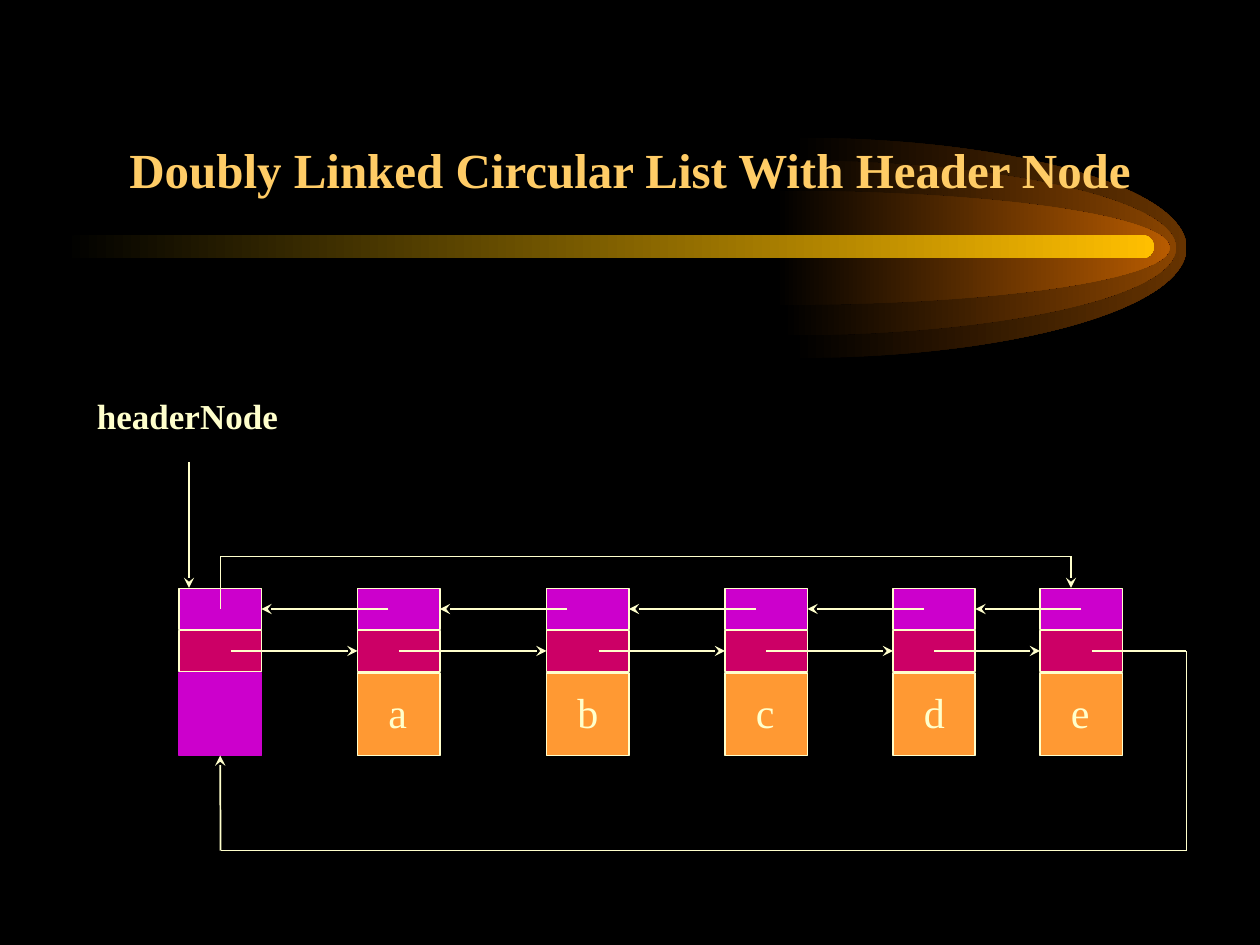
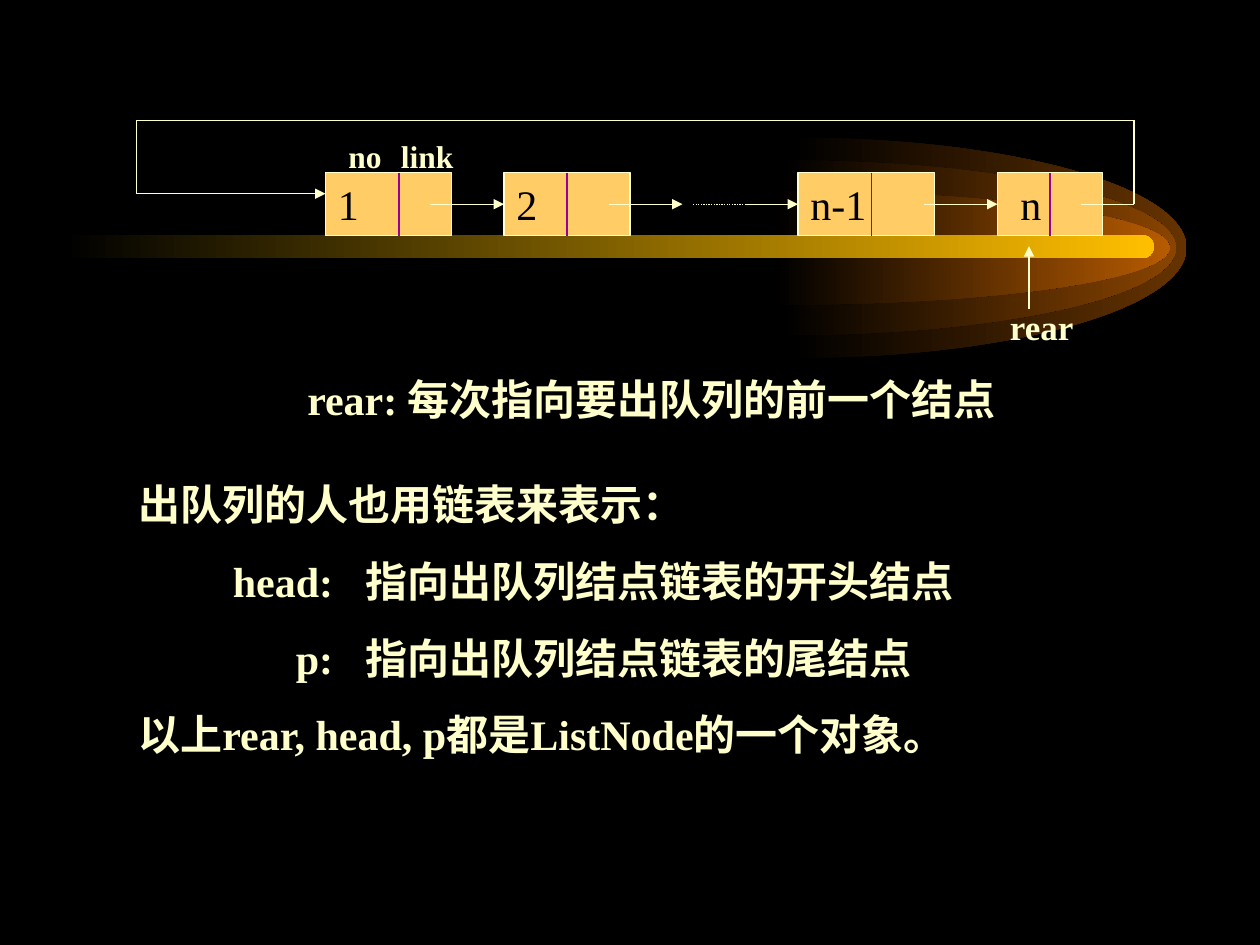
from dataclasses import dataclass
from typing import Optional

from lxml.etree import SubElement
from pptx import Presentation
from pptx.dml.color import RGBColor
from pptx.enum.dml import MSO_LINE
from pptx.enum.shapes import MSO_CONNECTOR, MSO_SHAPE
from pptx.enum.text import MSO_ANCHOR, PP_ALIGN
from pptx.oxml.ns import qn
from pptx.util import Inches, Pt

WIDTH, HEIGHT = Inches(10), Inches(7.5)
COL, ROW = WIDTH / 120, HEIGHT / 90
FONT = "Times New Roman"
COLORS = {
    "black": "000000", "cream": "FFFFCC", "gold": "FFCC66", "orange": "FF9933",
    "violet": "CC00CC", "crimson": "CC0066", "purple": "990099", "bar": "FFBF00",
    "outer": "663300", "middle": "894400", "inner": "B75B00",
}
LEFT, BOTTOM, RIGHT = 1, 2, 3


@dataclass
class Box:
    col: float
    row: float
    cols: float
    rows: float


@dataclass
class Flare:
    col: float
    half_rows: float
    color: str


@dataclass
class Node:
    col: float
    link_col: float
    text: str = ""
    back_col: float = 0


@dataclass
class Cell:
    col: float
    cols: float
    divider: float
    text: str
    text_col: float
    text_cols: float


@dataclass
class Label:
    box: Box
    text: str
    size: float


@dataclass
class Line:
    text: str
    margin: float = 0
    indent: float = 0


FLARES = [Flare(75.5, 10.5, "outer"), Flare(74.5, 8.35, "middle"), Flare(73.9, 5.45, "inner")]
NODES = [
    Node(17, 22), Node(34, 38, "a", 37), Node(52, 57, "b", 54),
    Node(69, 73, "c", 72), Node(85, 89, "d", 88), Node(99, 104, "e", 103),
]
CELLS = [
    Cell(31, 12, 38, "1", 31, 8), Cell(48, 12, 54, "2", 48, 8),
    Cell(76, 13, 83, "n-1", 76, 8), Cell(95, 10, 100, "n", 96, 5),
]
LABELS = [
    Label(Box(95, 28.5, 11, 5.3), "rear", 20),
    Label(Box(32, 12.5, 9, 4.8), "no", 18),
    Label(Box(37, 12.5, 10, 4.8), "link", 18),
]
NOTES = [
    Line("出队列的人也用链表来表示："),
    Line("head:\t指向出队列结点链表的开头结点", 1.8, -1.05),
    Line("p:\t指向出队列结点链表的尾结点", 1.8, -0.55),
    Line("以上rear, head, p都是ListNode的一个对象。"),
]


def rgb(name: str) -> RGBColor:
    return RGBColor.from_string(COLORS[name])


def place(box: Box) -> tuple:
    return (round(box.col * COL), round(box.row * ROW),
            round(box.cols * COL), round(box.rows * ROW))


def fade(sp, color: str) -> None:
    sp.shadow.inherit = False
    sp.line.fill.background()
    sp.fill.gradient()
    sp.fill.gradient_angle = 0
    for stop, name in zip(sp.fill.gradient_stops, ("black", color)):
        stop.color.rgb = rgb(name)


def add_half_ellipse(s, flare: Flare):
    x, y, w, h = place(Box(flare.col, 23.6, 37.5, flare.half_rows))
    builder = s.shapes.build_freeform(x, y - h)
    builder.add_line_segments([(x + w, y), (x, y + h)], close=True)
    sp = builder.convert_to_shape()
    for corner, start in zip(sp.element.xpath(".//a:lnTo"), (270, 0)):
        corner.addprevious(corner.makeelement(qn("a:arcTo"), {
            "wR": str(w), "hR": str(h),
            "stAng": str(start * 60000), "swAng": str(90 * 60000)}))
        corner.getparent().remove(corner)
    return sp


def add_comet(prs, s) -> None:
    comet = [add_half_ellipse(s, flare) for flare in FLARES]
    bar = s.shapes.add_shape(MSO_SHAPE.ROUNDED_RECTANGLE, *place(Box(6, 22.4, 103.9, 2.2)))
    bar.adjustments[0] = 0.5
    comet.append(bar)
    for i, (sp, color) in enumerate(zip(comet, [f.color for f in FLARES] + ["bar"])):
        fade(sp, color)
        sp.element.xpath(".//p:cNvPr")[0].set("id", str(100 + i))
        prs.slide_master.shapes.element.insert(2 + i, sp.element)


def add_rect(s, box: Box, fill: str, line: str = "cream", width: float = 1):
    sp = s.shapes.add_shape(MSO_SHAPE.RECTANGLE, *place(box))
    sp.shadow.inherit = False
    sp.fill.solid()
    sp.fill.fore_color.rgb = rgb(fill)
    sp.line.color.rgb = rgb(line)
    sp.line.width = Pt(width)
    return sp


def format_runs(p, size: float, color: str, bold: bool) -> None:
    for r in p.runs:
        r.font.name = FONT
        r.font.size = Pt(size)
        r.font.bold = bold
        r.font.color.rgb = rgb(color)


def add_text(s, box: Box, lines: list[Line], size: float = 24, color: str = "cream",
             bold: bool = True, wrap: bool = True) -> None:
    tf = s.shapes.add_textbox(*place(box)).text_frame
    tf.word_wrap = wrap
    for i, line in enumerate(lines):
        p = tf.add_paragraph() if i else tf.paragraphs[0]
        p.text = line.text
        if i:
            p.space_before = Pt(15)
        if line.margin or line.indent:
            pPr = p._p.get_or_add_pPr()
            pPr.set("marL", str(Inches(line.margin)))
            pPr.set("indent", str(Inches(line.indent)))
        format_runs(p, size, color, bold)


def add_wire(s, points: list[tuple], width: float, head: Optional[str] = None,
             color: str = "cream", target=None, side: int = LEFT, dotted: bool = False) -> None:
    for i, ((x1, y1), (x2, y2)) in enumerate(zip(points, points[1:]), 2):
        c = s.shapes.add_connector(MSO_CONNECTOR.STRAIGHT, round(x1 * COL), round(y1 * ROW),
                                   round(x2 * COL), round(y2 * ROW))
        c.line.color.rgb = rgb(color)
        c.line.width = Pt(width)
        if dotted:
            c.line.dash_style = MSO_LINE.ROUND_DOT
        if i == len(points):
            if target is not None:
                c.end_connect(target, side)
            if head:
                SubElement(c.element.spPr.find(qn("a:ln")), qn("a:tailEnd"), type=head)
        SubElement(c.element.spPr, qn("a:effectLst"))


def add_title(s, text: str) -> None:
    title = s.shapes.title
    title.left, title.top, title.width, title.height = place(Box(9, 8, 102, 11.5))
    tf = title.text_frame
    tf.text = text
    tf.word_wrap = True
    tf.vertical_anchor = MSO_ANCHOR.BOTTOM
    tf.paragraphs[0].alignment = PP_ALIGN.CENTER
    format_runs(tf.paragraphs[0], 28, "gold", True)


def build_doubly_linked(s) -> None:
    add_title(s, "Doubly Linked Circular List With Header Node")
    backs, links, datas = [], [], []
    for node in NODES:
        x = node.col + 0.05
        fill, line = ("orange", "cream") if node.text else ("violet", "violet")
        datas.append(add_rect(s, Box(x, 64.1, 7.85, 7.85), fill, line))
        links.append(add_rect(s, Box(x, 60.05, 7.85, 3.9), "crimson"))
        backs.append(add_rect(s, Box(x, 56.05, 7.85, 3.9), "violet"))
        if node.text:
            add_text(s, Box(node.col + 1.8, 64.8, 4.2, 6), [Line(node.text)],
                     bold=False, wrap=False)
    for i, (node, after) in enumerate(zip(NODES, NODES[1:])):
        add_wire(s, [(node.link_col, 62), (after.col, 62)], 1, "stealth", target=links[i + 1])
        add_wire(s, [(after.back_col, 58), (node.col + 8, 58)], 1, "stealth",
                 target=backs[i], side=RIGHT)
    add_wire(s, [(88, 58), (85, 58)], 1)
    add_text(s, Box(8.05, 37, 22, 5.2), [Line("headerNode")], 20)
    add_wire(s, [(18, 44), (18, 56)], 1, "stealth")
    add_wire(s, [(104, 62), (113, 62), (113, 81), (21, 81), (21, 72)], 1, "stealth",
             target=datas[0], side=BOTTOM)
    add_wire(s, [(21, 58), (21, 53), (102, 53), (102, 56)], 1, "stealth")


def build_circular_queue(s) -> None:
    top, mid, bottom = 16.45, 19.45, 22.45
    rects = []
    for cell in CELLS:
        rects.append(add_rect(s, Box(cell.col, top, cell.cols, bottom - top), "gold", width=0.75))
        add_wire(s, [(cell.divider, top), (cell.divider, bottom)], 0.75, color="purple")
        add_text(s, Box(cell.text_col, top, cell.text_cols, 6), [Line(cell.text)],
                 color="black", bold=False)
    for start, end, target in ((41, 48, rects[1]), (58, 65, None),
                               (71, 76, rects[2]), (88, 95, rects[3])):
        add_wire(s, [(start, mid), (end, mid)], 0.75, "triangle", target=target)
    add_wire(s, [(66, mid), (71, mid)], 0.75, dotted=True)
    add_wire(s, [(103, mid), (108, mid), (108, 11.45), (13, 11.45), (13, 18.45), (31, 18.45)],
             0.75, "triangle")
    add_wire(s, [(98, 29.45), (98, 23.45)], 0.75, "triangle")
    for label in LABELS:
        add_text(s, label.box, [Line(label.text)], label.size)
    add_text(s, Box(12, 35, 100, 6), [Line("rear: 每次指向要出队列的前一个结点", 0, 1.34)])
    add_text(s, Box(12, 45, 100, 28), NOTES)


def main() -> None:
    prs = Presentation()
    prs.slide_width, prs.slide_height = WIDTH, HEIGHT
    background = prs.slide_master.background.fill
    background.solid()
    background.fore_color.rgb = rgb("black")
    s = prs.slides.add_slide(prs.slide_layouts[5])
    add_comet(prs, s)
    build_doubly_linked(s)
    build_circular_queue(prs.slides.add_slide(prs.slide_layouts[6]))
    prs.save("out.pptx")


if __name__ == "__main__":
    main()
